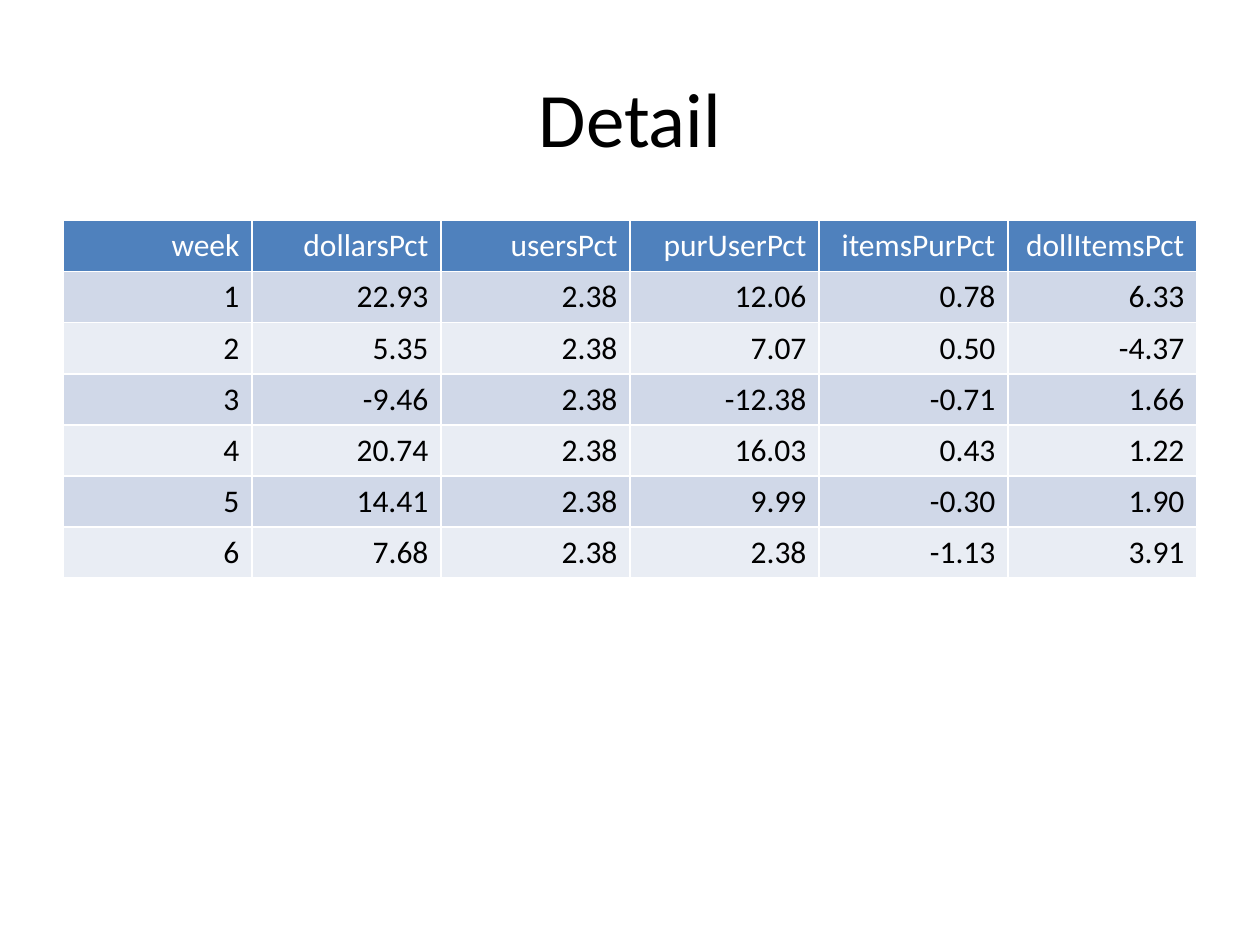
"""Build the weekly percentage detail slide."""
from pptx import Presentation
from pptx import util as u
from pptx.dml.color import RGBColor
from pptx.enum import text

FONT = "Calibri"
MARGIN, CONTENT_W = 0.5, 9
TABLE_TOP, ROW_H = 1.75, 0.4
HEADER_FILL, BAND_FILLS = "4F81BD", ("D0D8E8", "E9EDF4")
HEADERS = ["week", "dollarsPct", "usersPct", "purUserPct", "itemsPurPct", "dollItemsPct"]
WEEKS = [
    ["1", "22.93", "2.38", "12.06", "0.78", "6.33"],
    ["2", "5.35", "2.38", "7.07", "0.50", "-4.37"],
    ["3", "-9.46", "2.38", "-12.38", "-0.71", "1.66"],
    ["4", "20.74", "2.38", "16.03", "0.43", "1.22"],
    ["5", "14.41", "2.38", "9.99", "-0.30", "1.90"],
    ["6", "7.68", "2.38", "2.38", "-1.13", "3.91"],
]


def rgb(value):
    """Turn a hex string into a colour."""
    return RGBColor.from_string(value)


def write(tf, words, size, color, align):
    """Write one formatted run into a text frame."""
    p = tf.paragraphs[0]
    p.alignment = align
    r = p.add_run()
    r.text = words
    r.font.name, r.font.size = FONT, u.Pt(size)
    r.font.color.rgb = rgb(color)


def set_title(s, words):
    """Place and fill the title placeholder."""
    sp = s.shapes.title
    sp.left, sp.top = u.Inches(MARGIN), u.Inches(0.3)
    sp.width, sp.height = u.Inches(CONTENT_W), u.Inches(1.25)
    sp.text_frame.vertical_anchor = text.MSO_ANCHOR.MIDDLE
    write(sp.text_frame, words, 44, "000000", text.PP_ALIGN.CENTER)


def fill_row(cells, values, fill, color):
    """Fill one table row with right-aligned values."""
    for cell, value in zip(cells, values):
        cell.fill.solid()
        cell.fill.fore_color.rgb = rgb(fill)
        write(cell.text_frame, value, 18, color, text.PP_ALIGN.RIGHT)


def add_weeks_table(s):
    """Add the table with a header and banded week rows."""
    n_rows = len(WEEKS) + 1
    table = s.shapes.add_table(
        n_rows, len(HEADERS), u.Inches(MARGIN), u.Inches(TABLE_TOP),
        u.Inches(CONTENT_W), u.Inches(n_rows * ROW_H)).table
    rows = list(table.rows)
    fill_row(rows[0].cells, HEADERS, HEADER_FILL, "FFFFFF")
    for i, values in enumerate(WEEKS):
        fill_row(rows[i + 1].cells, values, BAND_FILLS[i % 2], "000000")
    for cell in rows[0].cells:
        cell.text_frame.paragraphs[0].runs[0].font.bold = False


def main():
    """Build and save the slide."""
    prs = Presentation()
    prs.slide_width, prs.slide_height = u.Inches(10), u.Inches(7.5)
    s = prs.slides.add_slide(prs.slide_layouts[5])
    set_title(s, "Detail")
    add_weeks_table(s)
    prs.save("out.pptx")


if __name__ == "__main__":
    main()
